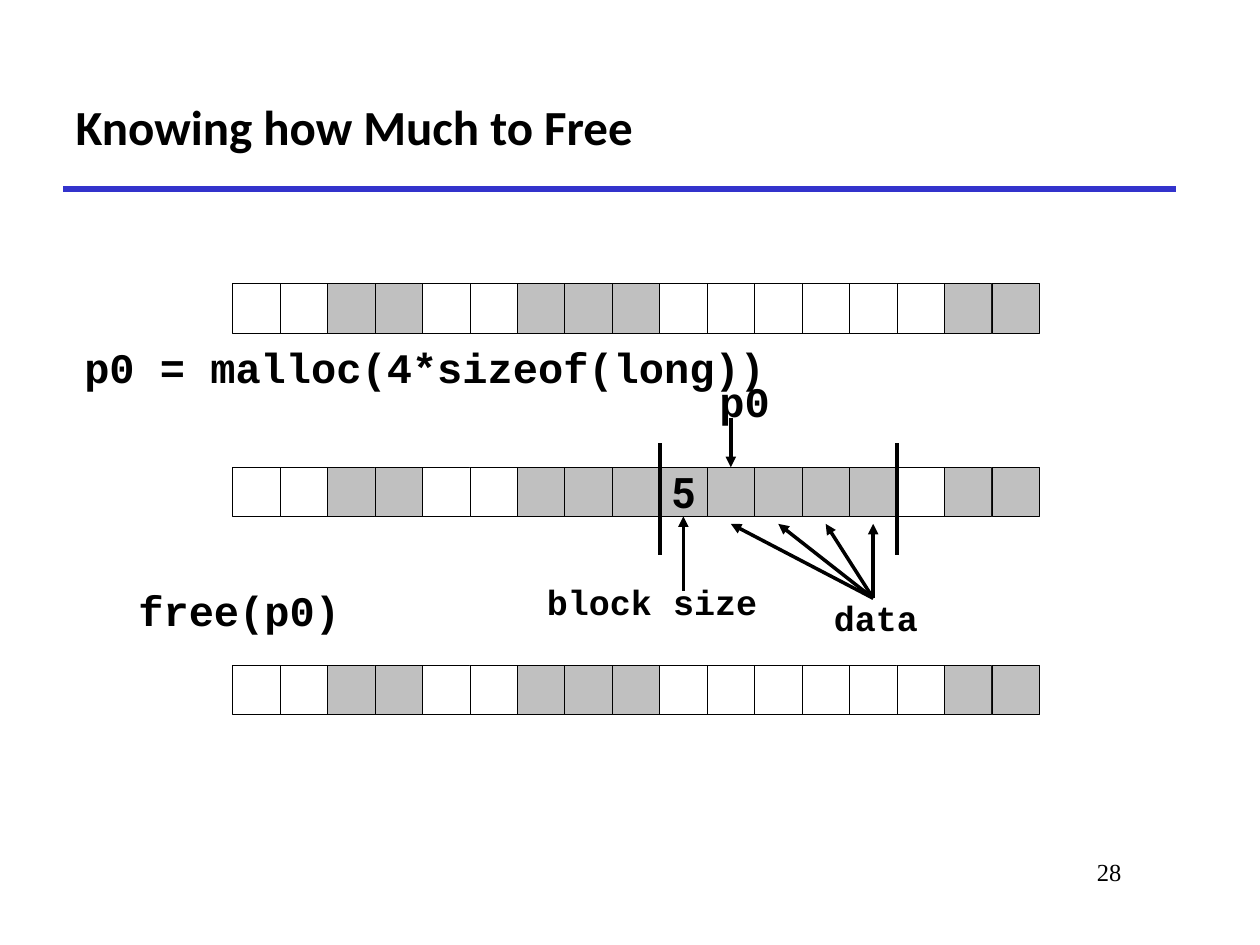
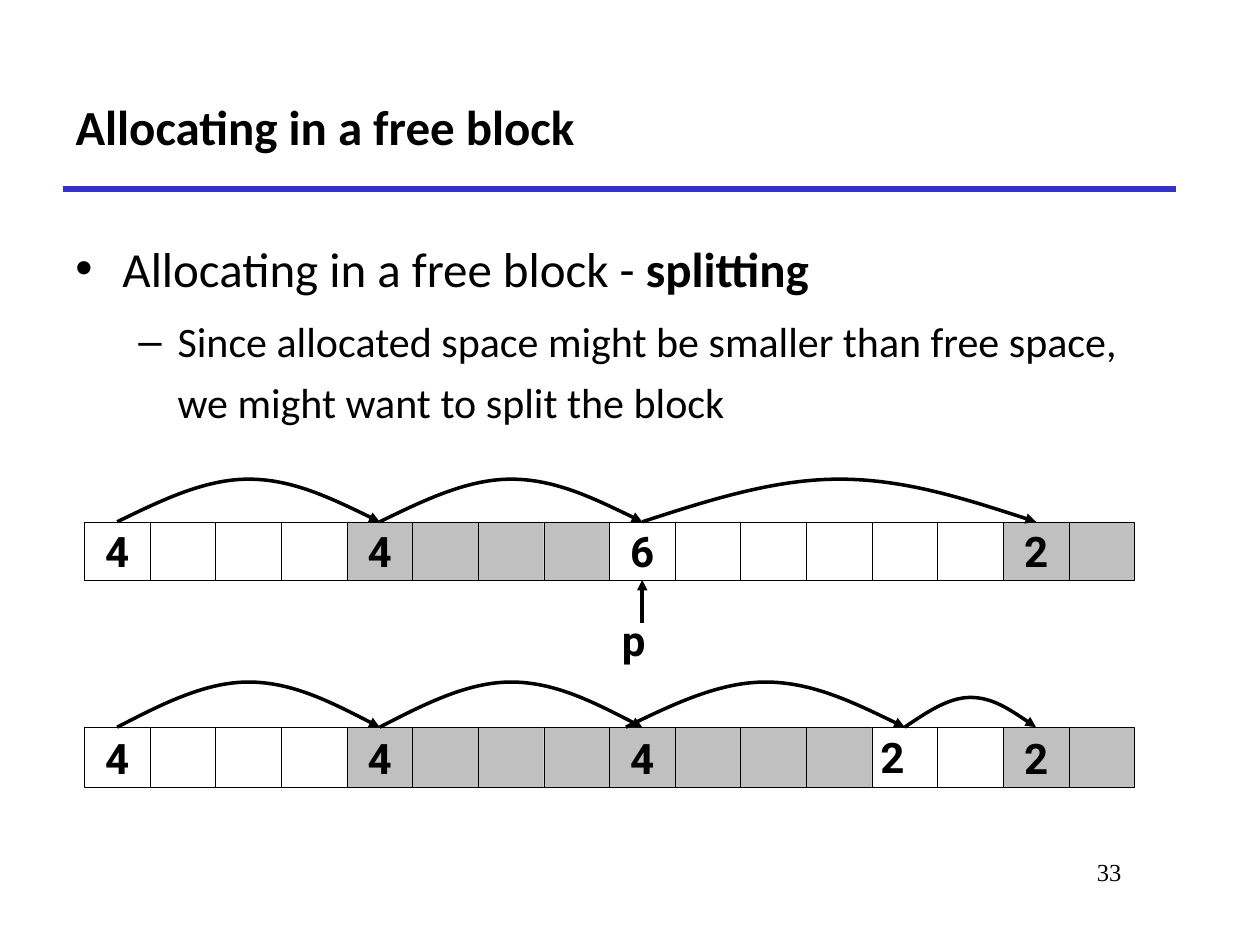
from dataclasses import dataclass

from lxml import etree
from pptx import Presentation
from pptx.dml.color import RGBColor
from pptx.enum.shapes import MSO_CONNECTOR, MSO_SHAPE
from pptx.enum.text import MSO_ANCHOR, MSO_AUTO_SIZE, PP_ALIGN
from pptx.oxml.ns import qn
from pptx.util import Cm, Pt

STRAIGHT = MSO_CONNECTOR.STRAIGHT
RECTANGLE = MSO_SHAPE.RECTANGLE
LEFT, CENTER, RIGHT = PP_ALIGN.LEFT, PP_ALIGN.CENTER, PP_ALIGN.RIGHT
TOP, MIDDLE = MSO_ANCHOR.TOP, MSO_ANCHOR.MIDDLE
NO_FIT, FIT_SHAPE = MSO_AUTO_SIZE.NONE, MSO_AUTO_SIZE.SHAPE_TO_FIT_TEXT
TITLE_ONLY = 5


@dataclass(frozen=True)
class Theme:
    ink: str = "000000"
    free: str = "FFFFFF"
    used: str = "C0C0C0"
    rule: str = "3333CC"
    heading_font: str = "Calibri"
    code_font: str = "Courier New"
    cell_font: str = "Roboto"
    number_font: str = "Times New Roman"
    heading_size: float = 28
    text_size: float = 24
    label_size: float = 20
    number_size: float = 14
    cell_line: float = 0.25
    arrow_line: float = 2
    boundary_line: float = 2.25
    rule_line: float = 3


THEME = Theme()


@dataclass(frozen=True)
class Box:
    left: float
    top: float
    width: float
    height: float

    @property
    def bottom(self):
        return self.top + self.height

    def lengths(self):
        return Cm(self.left), Cm(self.top), Cm(self.width), Cm(self.height)


@dataclass(frozen=True)
class MemoryRow(Box):
    pattern: str

    @property
    def cell_width(self):
        return self.width / len(self.pattern)

    def edge(self, index):
        return self.left + index * self.cell_width

    def center(self, index):
        return self.edge(index + 0.5)


def write_text(paragraph, text, *, font=THEME.heading_font, size=THEME.text_size,
               bold=False, align=LEFT):
    paragraph.alignment = align
    run = paragraph.add_run()
    run.text = text
    run.font.name = font
    run.font.size = Pt(size)
    run.font.bold = bold
    run.font.color.rgb = RGBColor.from_string(THEME.ink)


def prepare_frame(shape, anchor=TOP, wrap=True, fit=NO_FIT):
    frame = shape.text_frame
    frame.word_wrap = wrap
    frame.auto_size = fit
    frame.vertical_anchor = anchor
    return frame


def add_label(slide, box, text, **text_format):
    frame = prepare_frame(slide.shapes.add_textbox(*box.lengths()), wrap=False, fit=FIT_SHAPE)
    write_text(frame.paragraphs[0], text, bold=True, **text_format)


def style_line(shape, color, width, arrow=False):
    shape.line.color.rgb = RGBColor.from_string(color)
    shape.line.width = Pt(width)
    if arrow:
        etree.SubElement(shape.line._get_or_add_ln(), qn("a:tailEnd"), type="triangle")


def add_line(slide, start, end, color=THEME.ink, width=THEME.arrow_line, arrow=False):
    points = [Cm(value) for value in (*start, *end)]
    connector = slide.shapes.add_connector(STRAIGHT, *points)
    style_line(connector, color, width, arrow)
    etree.SubElement(connector._element.spPr, qn("a:effectLst"))


def add_arc(slide, start, end, baseline, rise):
    step = (end - start) / 6
    points = [(Cm(start + index * step), Cm(baseline - level * rise))
              for index, level in enumerate((0, 0.5, 1, 1, 1, 0.5, 0))]
    builder = slide.shapes.build_freeform(*points[0])
    builder.add_line_segments(points[1:], close=False)
    arc = builder.convert_to_shape()
    arc.shadow.inherit = False
    arc.fill.background()
    style_line(arc, THEME.ink, THEME.arrow_line, arrow=True)
    segments = list(arc._element.iter(qn("a:lnTo")))
    outline = segments[0].getparent()
    for first in range(0, len(segments), 3):
        curve = etree.SubElement(outline, qn("a:cubicBezTo"))
        for segment in segments[first:first + 3]:
            curve.append(segment[0])
            outline.remove(segment)


def add_memory_row(slide, row, labels=None):
    labels = labels or {}
    for index, state in enumerate(row.pattern):
        box = Box(row.edge(index), row.top, row.cell_width, row.height)
        cell = slide.shapes.add_shape(RECTANGLE, *box.lengths())
        cell.shadow.inherit = False
        cell.fill.solid()
        cell.fill.fore_color.rgb = RGBColor.from_string(
            THEME.used if state == "#" else THEME.free)
        style_line(cell, THEME.ink, THEME.cell_line)
        if index in labels:
            frame = prepare_frame(cell, MIDDLE, wrap=False)
            write_text(frame.paragraphs[0], labels[index], font=THEME.cell_font,
                       bold=True, align=CENTER)


def add_titled_slide(presentation, title, number):
    slide = presentation.slides.add_slide(presentation.slide_layouts[TITLE_ONLY])
    heading = slide.shapes.title
    heading.left, heading.top, heading.width, heading.height = Box(
        1.27, 1.27, 22.43, 2.54).lengths()
    write_text(prepare_frame(heading, MIDDLE).paragraphs[0], title,
               size=THEME.heading_size, bold=True)
    add_line(slide, (1.27, 3.81), (23.7, 3.81), THEME.rule, THEME.rule_line)
    number_box = slide.shapes.add_textbox(*Box(19.25, 17.15, 3.61, 1.27).lengths())
    write_text(prepare_frame(number_box).paragraphs[0], str(number),
               font=THEME.number_font, size=THEME.number_size, align=RIGHT)
    return slide


def add_bullet(paragraph, runs, size, symbol, margin, hanging, level=0):
    paragraph.level = level
    properties = paragraph._p.get_or_add_pPr()
    properties.set("marL", str(Cm(margin)))
    properties.set("indent", str(-Cm(hanging)))
    etree.SubElement(properties, qn("a:buFont"), typeface="Arial")
    etree.SubElement(properties, qn("a:buChar"), char=symbol)
    paragraph.line_spacing = 1.2
    paragraph.space_before = Pt(0.2 * size if level else 0)
    for text, bold in runs:
        write_text(paragraph, text, size=size, bold=bold)


def add_splitting_text(slide, box):
    frame = prepare_frame(slide.shapes.add_textbox(*box.lengths()))
    add_bullet(frame.paragraphs[0],
               [("Allocating in a free block - ", False), ("splitting", True)],
               THEME.heading_size, "•", 0.95, 0.95)
    add_bullet(frame.add_paragraph(),
               [("Since allocated space might be smaller than free space, "
                 "we might want to split the block", False)],
               THEME.text_size, "–", 2.06, 0.79, level=1)


def add_block_annotations(slide, row, size_cell, data_cells):
    for boundary in (size_cell, data_cells[-1] + 1):
        x = row.edge(boundary)
        add_line(slide, (x, row.top - 0.48), (x, row.bottom + 0.77),
                 width=THEME.boundary_line)
    pointer_x = row.center(data_cells[0])
    add_label(slide, Box(pointer_x - 0.48, row.top - 1.98, 1.55, 1.27), "p0",
              font=THEME.code_font)
    add_line(slide, (pointer_x, row.top - 0.99), (pointer_x, row.top), arrow=True)

    size_x = row.center(size_cell)
    add_label(slide, Box(size_x - 3, row.bottom + 1.17, 4.8, 1.12), "block size",
              font=THEME.code_font, size=THEME.label_size)
    add_line(slide, (size_x, row.bottom + 1.5), (size_x, row.bottom), arrow=True)

    source = (row.center(data_cells[-1]), row.bottom + 1.65)
    add_label(slide, Box(source[0] - 1.04, row.bottom + 1.5, 2.21, 1.12), "data",
              font=THEME.code_font, size=THEME.label_size)
    for cell in data_cells:
        add_line(slide, source, (row.center(cell), row.bottom + 0.15), arrow=True)


def build_free_size_slide(presentation):
    slide = add_titled_slide(presentation, "Knowing how Much to Free", 28)
    initial = "..##..###......##"
    allocated = "..##..########.##"
    before, during, after = [
        MemoryRow(4.69, top, 16.26, 0.99, pattern)
        for top, pattern in ((5.72, initial), (9.42, allocated), (13.41, initial))]
    add_memory_row(slide, before)
    add_memory_row(slide, during, {9: "5"})
    add_memory_row(slide, after)
    add_label(slide, Box(1.45, 6.76, 14.35, 1.27), "p0 = malloc(4*sizeof(long))",
              font=THEME.code_font)
    add_label(slide, Box(2.54, 11.66, 4.6, 1.27), "free(p0)", font=THEME.code_font)
    add_block_annotations(slide, during, 9, range(10, 14))


def build_splitting_slide(presentation):
    slide = add_titled_slide(presentation, "Allocating in a free block", 33)
    add_splitting_text(slide, Box(1.27, 4.45, 22.43, 5.08))

    whole = MemoryRow(1.7, 10.52, 21.17, 1.17, "....####......##")
    add_memory_row(slide, whole, {0: "4", 4: "4", 8: "6", 14: "2"})
    for start, end in ((0, 4), (4, 8), (8, 14)):
        add_arc(slide, whole.center(start), whole.center(end), whole.top, 0.86)
    pointer_x = whole.center(8)
    add_line(slide, (pointer_x, whole.bottom + 0.86), (pointer_x, whole.bottom), arrow=True)
    add_label(slide, Box(whole.edge(8), whole.bottom + 0.58, 1.04, 1.3), "p",
              font=THEME.cell_font)

    split = MemoryRow(1.7, 14.66, 21.17, 1.22, "....########..##")
    add_memory_row(slide, split, {0: "4", 4: "4", 8: "4", 14: "2"})
    add_label(slide, Box(split.edge(12) - 0.08, split.top - 0.03, 0.99, 1.3), "2",
              font=THEME.cell_font)
    for start, end, rise in ((0, 4, 0.91), (4, 8, 0.91), (7.75, 12, 0.91), (12, 14, 0.6)):
        add_arc(slide, split.center(start), split.center(end), split.top, rise)


def main():
    presentation = Presentation()
    presentation.slide_width = Cm(25.4)
    presentation.slide_height = Cm(19.05)
    build_free_size_slide(presentation)
    build_splitting_slide(presentation)
    presentation.save("out.pptx")


if __name__ == "__main__":
    main()
